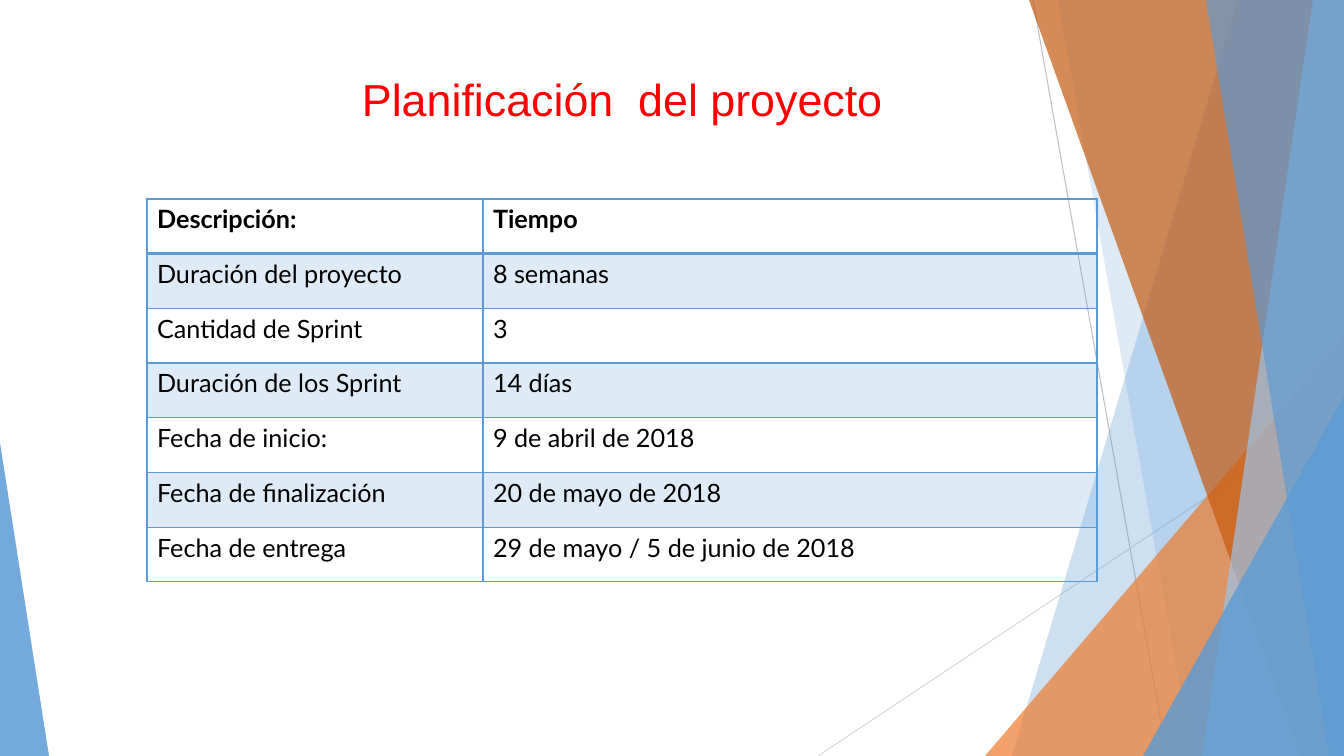
"""Build the project planning slide: a faceted backdrop, a title and a schedule table."""
from dataclasses import dataclass

from lxml.etree import SubElement
from pptx import Presentation
from pptx.dml.color import RGBColor
from pptx.dml.fill import FillFormat
from pptx.enum.shapes import MSO_CONNECTOR, MSO_SHAPE
from pptx.enum.text import MSO_ANCHOR, MSO_AUTO_SIZE, PP_ALIGN
from pptx.oxml.ns import qn
from pptx.slide import Slide
from pptx.table import _Cell
from pptx.text.text import TextFrame
from pptx.util import Emu, Pt

SLIDE_W, SLIDE_H = 1344, 756
EMU_PER_PX = 914400 / 100.8


@dataclass(frozen=True)
class Theme:
    blue: str = "5B9BD5"
    light_blue: str = "9DC3E6"
    orange: str = "ED7D31"
    dark_orange: str = "C55A11"
    title: str = "FF0000"
    text: str = "000000"
    title_font: str = "Arial"
    table_font: str = "Lato"
    title_size: int = 32
    table_size: int = 18
    hairline: float = 0.75
    border: int = 1
    header_border: int = 2


THEME = Theme()


@dataclass(frozen=True)
class Ray:
    x1: int
    y1: int
    x2: int
    y2: int
    color: str


@dataclass(frozen=True)
class Facet:
    """Full-height panel ending at the right edge of the slide."""
    top_x: int
    bottom_x: int
    color: str
    opacity: int


@dataclass(frozen=True)
class Wedge:
    """Right triangle standing on the bottom edge of the slide."""
    left: int
    top: int
    right: int
    apex: int
    color: str
    opacity: int


RAYS = [
    Ray(1033, 0, 1167, SLIDE_H, "BFBFBF"),
    Ray(SLIDE_W, 406, 818, SLIDE_H, "D9D9D9"),
]
BACKDROP = [
    Facet(1238, 1012, THEME.blue, 30),
    Facet(1058, 1192, THEME.blue, 20),
    Wedge(985, 336, SLIDE_W, 1, THEME.orange, 72),
    Facet(1029, 1301, THEME.dark_orange, 70),
    Facet(1313, 1202, THEME.light_blue, 70),
    Facet(1206, 1329, THEME.blue, 65),
    Wedge(1143, 396, SLIDE_W, 1, THEME.blue, 80),
    Wedge(0, 443, 49, 0, THEME.blue, 85),
]
SCHEDULE = [
    ("Descripción:", "Tiempo"),
    ("Duración del proyecto", "8 semanas"),
    ("Cantidad de Sprint", "3"),
    ("Duración de los Sprint", "14 días"),
    ("Fecha de inicio:", "9 de abril de 2018"),
    ("Fecha de finalización", "20 de mayo de 2018"),
    ("Fecha de entrega", "29 de mayo / 5 de junio de 2018"),
]
COLUMN_WIDTHS = (336, 614)


def px(n: int) -> Emu:
    """Turn pixels into EMU."""
    return Emu(round(n * EMU_PER_PX))


def write(tf: TextFrame, text: str, *, font: str, size: int, color: str,
          bold: bool = False, align: PP_ALIGN = PP_ALIGN.LEFT) -> None:
    """Put one formatted run of text into a frame."""
    p = tf.paragraphs[0]
    p.alignment = align
    r = p.add_run()
    r.text = text
    r.font.name, r.font.size, r.font.bold = font, Pt(size), bold
    r.font.color.rgb = RGBColor.from_string(color)


def tint(fill: FillFormat, parent, color: str, opacity: int) -> None:
    """Apply a solid fill with an opacity in percent."""
    fill.solid()
    fill.fore_color.rgb = RGBColor.from_string(color)
    clr = parent.find(qn("a:solidFill")).find(qn("a:srgbClr"))
    SubElement(clr, qn("a:alpha"), val=str(opacity * 1000))


def draw_ray(s: Slide, ray: Ray) -> None:
    """Draw a thin backdrop line."""
    cx = s.shapes.add_connector(MSO_CONNECTOR.STRAIGHT, px(ray.x1), px(ray.y1),
                                px(ray.x2), px(ray.y2))
    cx.line.color.rgb = RGBColor.from_string(ray.color)
    cx.line.width = Pt(THEME.hairline)
    SubElement(cx._element.spPr, qn("a:effectLst"))


def draw_panel(s: Slide, panel: Facet | Wedge) -> None:
    """Draw a translucent backdrop panel."""
    if isinstance(panel, Facet):
        fb = s.shapes.build_freeform(panel.top_x, 0, scale=EMU_PER_PX)
        fb.add_line_segments([(SLIDE_W, 0), (SLIDE_W, SLIDE_H), (panel.bottom_x, SLIDE_H)])
        sp = fb.convert_to_shape()
    else:
        sp = s.shapes.add_shape(MSO_SHAPE.ISOSCELES_TRIANGLE, px(panel.left), px(panel.top),
                                px(panel.right - panel.left), px(SLIDE_H - panel.top))
        sp.adjustments[0] = panel.apex
    tint(sp.fill, sp._element.spPr, panel.color, panel.opacity)
    sp.line.fill.background()
    sp.shadow.inherit = False


def draw_title(s: Slide, text: str) -> None:
    """Place and fill the title placeholder."""
    sp = s.shapes.title
    sp.left, sp.top, sp.width, sp.height = px(109), px(67), px(1027), px(70)
    tf = sp.text_frame
    tf.word_wrap, tf.auto_size = True, MSO_AUTO_SIZE.NONE
    tf.vertical_anchor = MSO_ANCHOR.TOP
    write(tf, text, font=THEME.title_font, size=THEME.title_size, color=THEME.title,
          align=PP_ALIGN.CENTER)


def set_borders(cell: _Cell, top: int, bottom: int) -> None:
    """Outline a cell, with its top and bottom widths in points."""
    tc_pr = cell._tc.get_or_add_tcPr()
    widths = {"L": THEME.border, "R": THEME.border, "T": top, "B": bottom}
    for i, (side, width) in enumerate(widths.items()):
        ln = SubElement(tc_pr, qn(f"a:ln{side}"), w=str(Pt(width)))
        SubElement(SubElement(ln, qn("a:solidFill")), qn("a:srgbClr"), val=THEME.blue)
        tc_pr.insert(i, ln)


def draw_schedule(s: Slide) -> None:
    """Draw the banded schedule table."""
    tbl = s.shapes.add_table(len(SCHEDULE), len(COLUMN_WIDTHS), px(147), px(199),
                             px(sum(COLUMN_WIDTHS)), px(383)).table
    tbl.first_row = tbl.horz_banding = False
    for col, width in zip(tbl.columns, COLUMN_WIDTHS):
        col.width = px(width)
    for i, row in enumerate(SCHEDULE):
        for j, text in enumerate(row):
            cell = tbl.cell(i, j)
            write(cell.text_frame, text, font=THEME.table_font, size=THEME.table_size,
                  color=THEME.text, bold=i == 0)
            if i % 2:
                tint(cell.fill, cell._tc.get_or_add_tcPr(), THEME.blue, 20)
            else:
                cell.fill.background()
            set_borders(cell, THEME.header_border if i == 1 else THEME.border,
                        THEME.header_border if i == 0 else THEME.border)


def main() -> None:
    """Build and save the slide."""
    prs = Presentation()
    prs.slide_width, prs.slide_height = px(SLIDE_W), px(SLIDE_H)
    s = prs.slides.add_slide(prs.slide_layouts[5])
    for ray in RAYS:
        draw_ray(s, ray)
    for panel in BACKDROP:
        draw_panel(s, panel)
    draw_title(s, "Planificación  del proyecto")
    draw_schedule(s)
    prs.save("out.pptx")


if __name__ == "__main__":
    main()
